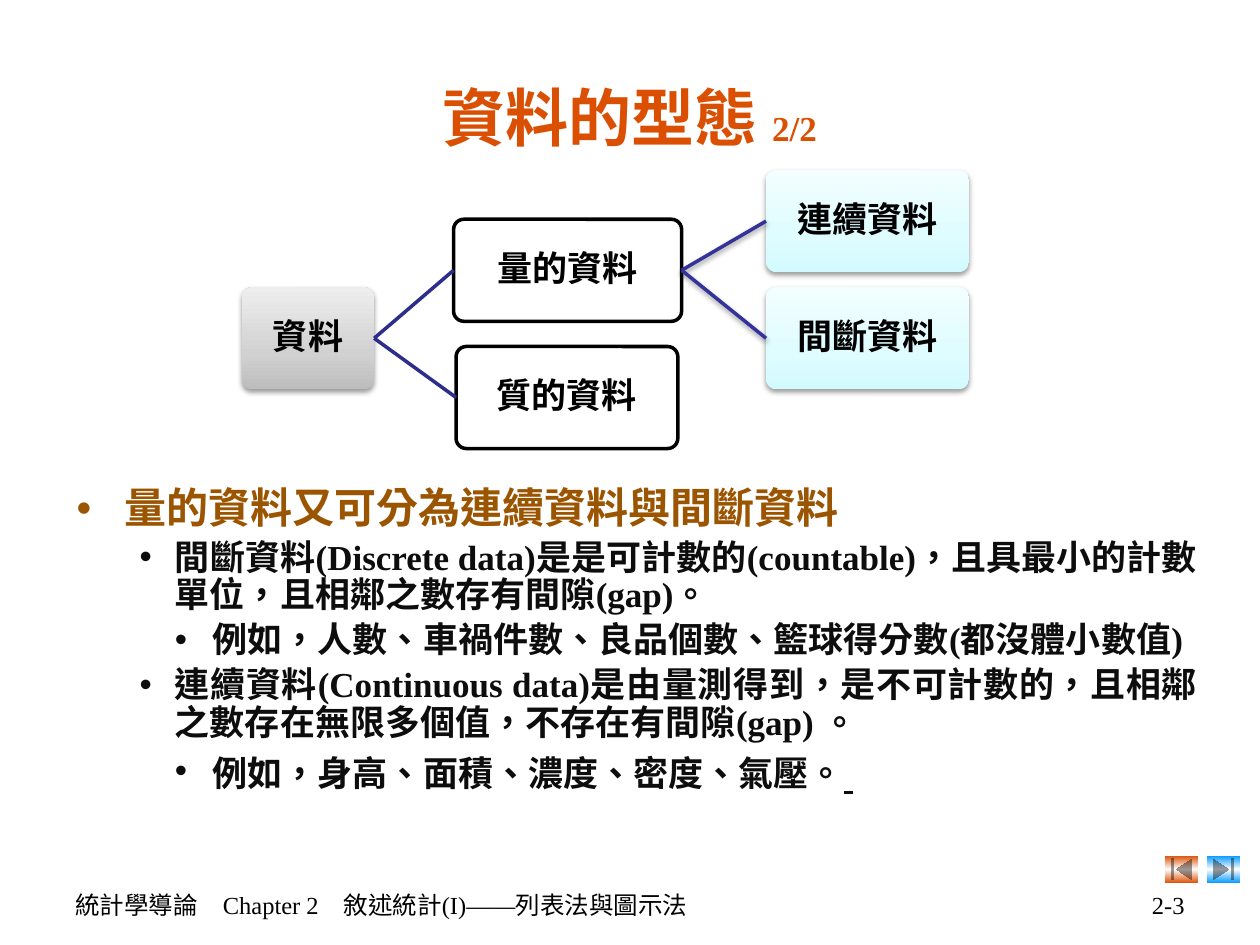
from lxml.etree import SubElement
from pptx import Presentation
from pptx.dml.color import RGBColor
from pptx.enum.shapes import MSO_CONNECTOR as Connector, MSO_SHAPE as Shape
from pptx.enum.text import MSO_ANCHOR as Anchor, PP_ALIGN as Align
from pptx.oxml.ns import qn
from pptx.util import Inches, Pt

BLACK = RGBColor(0x00, 0x00, 0x00)
WHITE = RGBColor(0xFF, 0xFF, 0xFF)
ORANGE = RGBColor(0xDB, 0x4F, 0x03)
BLUE = RGBColor(0x00, 0x99, 0xFF)
BROWN = RGBColor(0x9B, 0x54, 0x00)
INK = RGBColor(0x0D, 0x0D, 0x0D)
NAVY = RGBColor(0x2D, 0x2D, 0x8A)
INDIGO = RGBColor(0x33, 0x33, 0x99)
GREYS = [(0, RGBColor(0xBD, 0xBD, 0xBD)), (35, RGBColor(0xD1, 0xD1, 0xD1)),
         (100, RGBColor(0xEE, 0xEE, 0xEE))]
AQUAS = [(0, RGBColor(0xD3, 0xFB, 0xFF)), (35, RGBColor(0xDF, 0xFC, 0xFF)),
         (100, RGBColor(0xF2, 0xFE, 0xFF))]
SERIF = "Times New Roman"
SANS = "Noto Sans CJK SC"
COLUMNS, ROWS = 100, 75
LEFT, RIGHT = 1, 3


class Deck:
    def __init__(self):
        self.prs = Presentation()
        self.prs.slide_width, self.prs.slide_height = Inches(10), Inches(7.5)
        self.slide = self.prs.slides.add_slide(self.prs.slide_layouts[6])

    def place(self, col, row, cols, rows):
        unit_x = self.prs.slide_width / COLUMNS
        unit_y = self.prs.slide_height / ROWS
        return (round(col * unit_x), round(row * unit_y),
                round(cols * unit_x), round(rows * unit_y))

    def run(self, paragraph, text, size, color, bold=False, font=SERIF, underline=None):
        run = paragraph.add_run()
        run.text = text
        run.font.size, run.font.bold, run.font.name = Pt(size), bold, font
        run.font.color.rgb = color
        run.font.underline = underline
        properties = run._r.get_or_add_rPr()
        properties.set("lang", "zh-TW")
        SubElement(properties, qn("a:ea"), typeface=SANS)

    def text_box(self, area, anchor=Anchor.MIDDLE, align=Align.LEFT):
        frame = self.slide.shapes.add_textbox(*self.place(*area)).text_frame
        frame.word_wrap = True
        frame.vertical_anchor = anchor
        frame.paragraphs[0].alignment = align
        return frame

    def bullet(self, paragraph, level, margin, hanging):
        paragraph.level = level
        paragraph.alignment = Align.JUSTIFY
        paragraph.line_spacing = 0.9
        paragraph.space_before = Pt(4)
        properties = paragraph._p.get_or_add_pPr()
        properties.set("marL", str(Inches(margin)))
        properties.set("indent", str(-Inches(hanging)))
        SubElement(properties, qn("a:buFont"), typeface="Arial")
        SubElement(properties, qn("a:buChar"), char="•")

    def gradient(self, shape, stops, angle):
        shape.fill.gradient()
        fill = shape.element.spPr.find(qn("a:gradFill"))
        for child in list(fill):
            fill.remove(child)
        stop_list = SubElement(fill, qn("a:gsLst"))
        for position, color in stops:
            stop = SubElement(stop_list, qn("a:gs"), pos=str(position * 1000))
            SubElement(stop, qn("a:srgbClr"), val=str(color))
        SubElement(fill, qn("a:lin"), ang=str(angle * 60000), scaled="0")

    def soft_shadow(self, effects):
        shadow = SubElement(effects, qn("a:outerShdw"), blurRad=str(Pt(3.1)),
                            dist=str(Pt(1.6)), dir="5400000", rotWithShape="0")
        color = SubElement(shadow, qn("a:srgbClr"), val=str(BLACK))
        SubElement(color, qn("a:alpha"), val="38000")

    def node(self, text, area, stops=None):
        node = self.slide.shapes.add_shape(Shape.ROUNDED_RECTANGLE, *self.place(*area))
        node.adjustments[0] = 0.1
        node.shadow.inherit = False
        if stops:
            self.gradient(node, stops, 270)
            node.line.fill.background()
            self.soft_shadow(node.element.spPr.find(qn("a:effectLst")))
        else:
            node.fill.solid()
            node.fill.fore_color.rgb = WHITE
            node.line.color.rgb = BLACK
            node.line.width = Pt(2)
        frame = node.text_frame
        frame.word_wrap = True
        frame.vertical_anchor = Anchor.MIDDLE
        frame.margin_left = frame.margin_right = Inches(0.01)
        frame.margin_top = frame.margin_bottom = Inches(0.01)
        label = frame.paragraphs[0]
        label.alignment = Align.CENTER
        label.line_spacing = 0.9
        label.space_after = Pt(7)
        self.run(label, text, 20, BLACK, bold=True)
        return node

    def branch(self, parent, child, color, shadow=False):
        branch = self.slide.shapes.add_connector(Connector.STRAIGHT, 0, 0, 0, 0)
        branch.begin_connect(parent, RIGHT)
        branch.end_connect(child, LEFT)
        branch.line.color.rgb = color
        branch.line.width = Pt(2)
        effects = SubElement(branch.element.spPr, qn("a:effectLst"))
        if shadow:
            self.soft_shadow(effects)

    def button(self, kind, area, color):
        button = self.slide.shapes.add_shape(kind, *self.place(*area))
        button.shadow.inherit = False
        button.line.fill.background()
        self.gradient(button, [(0, color), (50, WHITE), (100, color)], 90)


def main():
    deck = Deck()

    title = deck.text_box((5, 3, 90, 12.5), align=Align.CENTER).paragraphs[0]
    deck.run(title, "資料的型態 ", 36, ORANGE, bold=True)
    deck.run(title, "2/2", 20, ORANGE, bold=True)

    footer = deck.text_box((5, 70.1, 60, 3.4)).paragraphs[0]
    deck.run(footer, "統計學導論　Chapter 2　敘述統計(I)——列表法與圖示法", 14, BLACK)
    page = deck.text_box((71.7, 70.1, 23.3, 3.4), align=Align.RIGHT).paragraphs[0]
    deck.run(page, "2-3", 14, BLACK)

    deck.button(Shape.ACTION_BUTTON_BEGINNING, (92.5, 67.9, 2.6, 2.2), ORANGE)
    deck.button(Shape.ACTION_BUTTON_END, (95.8, 67.9, 2.6, 2.2), BLUE)

    levels = [(0.38, 0.38), (0.78, 0.28), (1.08, 0.3)]
    points = [
        (0, [("量的資料又可分為連續資料與間斷資料", 24, BROWN, True, SANS)]),
        (1, [("間斷資料(Discrete data)是是可計數的(countable)，且具最小的計數單位，"
              "且相鄰之數存有間隙(gap)。", 20, INK, True)]),
        (2, [("例如，人數、車禍件數、良品個數、籃球得分數(都沒體小數值)", 20, INK, True)]),
        (1, [("連續資料(Continuous data)是由量測得到，是不可計數的，"
              "且相鄰之數存在無限多個值，不存在有間隙(gap) 。", 20, INK, True)]),
        (2, [("例如，身高、面積、濃度、密度、氣壓", 20, INK, True, SANS),
             ("。", 20, INK, True),
             (" ", 24, INK, True, SANS, True)]),
    ]
    body = deck.text_box((5.1, 38.2, 90.9, 28.8), anchor=Anchor.TOP)
    for index, (level, runs) in enumerate(points):
        point = body.add_paragraph() if index else body.paragraphs[0]
        deck.bullet(point, level, *levels[level])
        for run in runs:
            deck.run(point, *run)

    height = 8.1
    data = deck.node("資料", (19.2, 22.8, 10.5, height), GREYS)
    quantitative = deck.node("量的資料", (36, 17.4, 18.1, height))
    qualitative = deck.node("質的資料", (36.2, 27.5, 17.6, height))
    continuous = deck.node("連續資料", (60.8, 13.5, 16.1, height), AQUAS)
    discrete = deck.node("間斷資料", (60.8, 22.8, 16.1, height), AQUAS)

    for child in (quantitative, qualitative):
        deck.branch(data, child, NAVY)
    for child in (continuous, discrete):
        deck.branch(quantitative, child, INDIGO, shadow=True)

    deck.prs.save("out.pptx")


if __name__ == "__main__":
    main()
